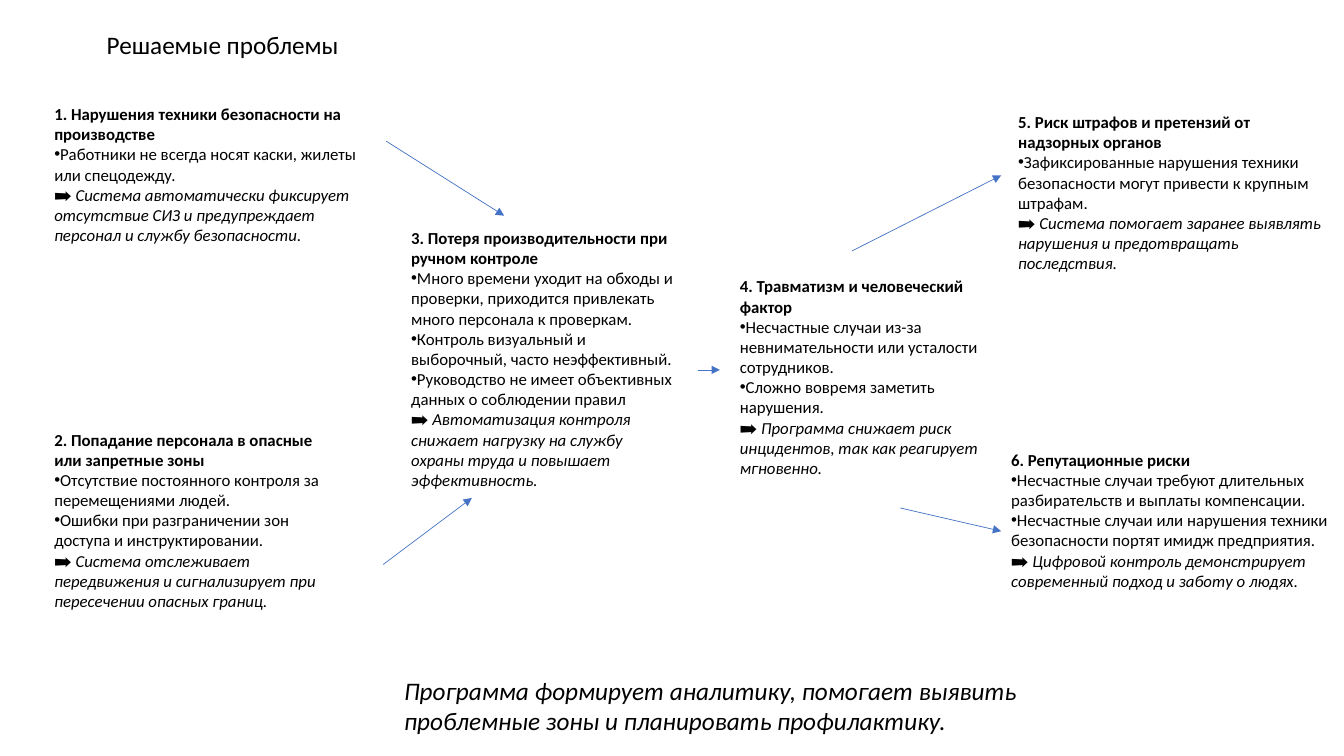
from dataclasses import dataclass

import lxml.etree
import pptx
import pptx.dml.color
import pptx.enum.shapes
import pptx.enum.text
import pptx.oxml.ns
import pptx.util

EMU_PER_PX = 9144  # 100 px to the inch


@dataclass(frozen=True)
class Theme:
    font: str = "Calibri"
    ink: str = "000000"
    arrow: str = "4472C4"
    heading_pt: int = 18
    body_pt: int = 12
    arrow_pt: float = 0.5


@dataclass(frozen=True)
class Box:
    left: int
    top: int
    width: int
    height: int


@dataclass(frozen=True)
class Problem:
    box: Box
    title: str
    points: tuple[str, ...]
    remedy: str
    remedy_apart: bool = False


@dataclass(frozen=True)
class Arrow:
    x1: int
    y1: int
    x2: int
    y2: int


THEME = Theme()
REMEDY_MARK = "➡️ "

PROBLEMS = [
    Problem(
        Box(44, 98, 336, 151),
        "1. Нарушения техники безопасности на производстве",
        ("Работники не всегда носят каски, жилеты или спецодежду.",),
        "Система автоматически фиксирует отсутствие СИЗ и предупреждает "
        "персонал и службу безопасности.",
    ),
    Problem(
        Box(44, 421, 285, 192),
        "2. Попадание персонала в опасные или запретные зоны",
        ("Отсутствие постоянного контроля за перемещениями людей.",
         "Ошибки при разграничении зон доступа и инструктировании."),
        "Система отслеживает передвижения и сигнализирует при пересечении "
        "опасных границ.",
    ),
    Problem(
        Box(398, 221, 286, 273),
        "3. Потеря производительности при ручном контроле",
        ("Много времени уходит на обходы и проверки, приходится привлекать "
         "много персонала к проверкам.",
         "Контроль визуальный и выборочный, часто неэффективный.",
         "Руководство не имеет объективных данных о соблюдении правил"),
        "Автоматизация контроля снижает нагрузку на службу охраны труда и "
        "повышает эффективность.",
    ),
    Problem(
        Box(724, 269, 276, 212),
        "4. Травматизм и человеческий фактор",
        ("Несчастные случаи из-за невнимательности или усталости сотрудников.",
         "Сложно вовремя заметить нарушения."),
        "Программа снижает риск инцидентов, так как реагирует мгновенно.",
    ),
    Problem(
        Box(1000, 106, 333, 172),
        "5. Риск штрафов и претензий от надзорных органов",
        ("Зафиксированные нарушения техники безопасности могут привести к "
         "крупным штрафам.",),
        "Система помогает заранее выявлять нарушения и предотвращать "
        "последствия.",
    ),
    Problem(
        Box(993, 441, 391, 172),
        "6. Репутационные риски",
        ("Несчастные случаи требуют длительных разбирательств и выплаты "
         "компенсации.",
         "Несчастные случаи или нарушения техники безопасности портят имидж "
         "предприятия."),
        "Цифровой контроль демонстрирует современный подход и заботу о людях.",
        remedy_apart=True,
    ),
]

ARROWS = [
    Arrow(383, 140, 500, 214),
    Arrow(380, 560, 468, 494),
    Arrow(692, 367, 714, 367),
    Arrow(845, 249, 993, 174),
    Arrow(893, 504, 993, 527),
]


def px(length: int) -> pptx.util.Emu:
    return pptx.util.Emu(length * EMU_PER_PX)


def add_text_frame(slide, box: Box, wrap: bool = True):
    frame = slide.shapes.add_textbox(
        px(box.left), px(box.top), px(box.width), px(box.height)).text_frame
    frame.word_wrap = wrap
    frame.auto_size = pptx.enum.text.MSO_AUTO_SIZE.SHAPE_TO_FIT_TEXT
    return frame


def style_paragraph(paragraph, size: int, bold: bool = False,
                    italic: bool = False) -> None:
    for run in paragraph.runs:
        run.font.name = THEME.font
        run.font.size = pptx.util.Pt(size)
        run.font.bold = bold
        run.font.italic = italic
        run.font.color.rgb = pptx.dml.color.RGBColor.from_string(THEME.ink)
    for line_break in paragraph._p.findall(pptx.oxml.ns.qn("a:br")):
        lxml.etree.SubElement(
            line_break, pptx.oxml.ns.qn("a:rPr"), sz=str(size * 100))


def add_bullet(paragraph) -> None:
    properties = paragraph._p.get_or_add_pPr()
    lxml.etree.SubElement(
        properties, pptx.oxml.ns.qn("a:buFont"), typeface="Arial")
    lxml.etree.SubElement(properties, pptx.oxml.ns.qn("a:buChar"), char="•")


def add_heading(slide, box: Box, text: str, wrap: bool = True,
                italic: bool = False) -> None:
    frame = add_text_frame(slide, box, wrap)
    frame.text = text
    style_paragraph(frame.paragraphs[0], THEME.heading_pt, italic=italic)


def add_problem(slide, problem: Problem) -> None:
    """Write the title, the bulleted points and the marked remedy."""
    frame = add_text_frame(slide, problem.box)
    frame.text = problem.title
    style_paragraph(frame.paragraphs[0], THEME.body_pt, bold=True)

    lines = list(problem.points)
    if problem.remedy_apart:
        lines.append(REMEDY_MARK)
    else:
        lines[-1] += "\v" + REMEDY_MARK
    for index, line in enumerate(lines):
        paragraph = frame.add_paragraph()
        if index < len(problem.points):
            add_bullet(paragraph)
        paragraph.text = line
        if index == len(lines) - 1:
            paragraph.add_run().text = problem.remedy
        style_paragraph(paragraph, THEME.body_pt)
    paragraph.runs[-1].font.italic = True


def add_arrow(slide, arrow: Arrow) -> None:
    connector = slide.shapes.add_connector(
        pptx.enum.shapes.MSO_CONNECTOR.STRAIGHT,
        px(arrow.x1), px(arrow.y1), px(arrow.x2), px(arrow.y2))
    connector.line.width = pptx.util.Pt(THEME.arrow_pt)
    connector.line.color.rgb = pptx.dml.color.RGBColor.from_string(THEME.arrow)
    lxml.etree.SubElement(connector.line._get_or_add_ln(),
                          pptx.oxml.ns.qn("a:tailEnd"), type="triangle")
    lxml.etree.SubElement(connector._element.spPr,
                          pptx.oxml.ns.qn("a:effectLst"))


def main() -> None:
    deck = pptx.Presentation()
    deck.slide_width, deck.slide_height = px(1333), px(750)
    slide = deck.slides.add_slide(deck.slide_layouts[6])
    add_heading(slide, Box(96, 24, 254, 40), "Решаемые проблемы", wrap=False)
    for problem in PROBLEMS:
        add_problem(slide, problem)
    add_heading(slide, Box(391, 665, 667, 71),
                "Программа формирует аналитику, помогает выявить проблемные "
                "зоны и планировать профилактику.", italic=True)
    for arrow in ARROWS:
        add_arrow(slide, arrow)
    deck.save("out.pptx")


if __name__ == "__main__":
    main()
